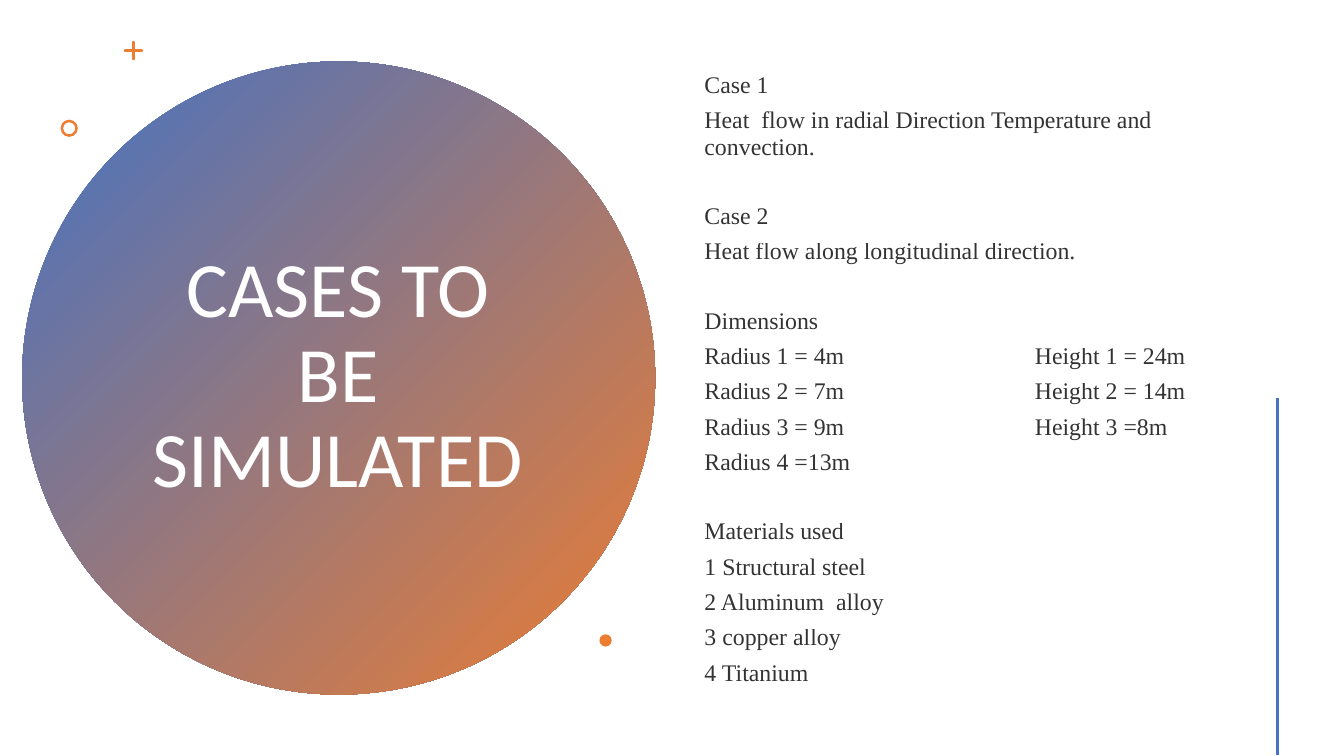
from dataclasses import dataclass
from math import cos, pi, sin

from lxml.etree import SubElement
from pptx import Presentation
from pptx.dml.color import RGBColor
from pptx.enum.shapes import MSO_CONNECTOR, MSO_SHAPE
from pptx.enum.text import MSO_ANCHOR, MSO_AUTO_SIZE, PP_ALIGN
from pptx.oxml.ns import qn
from pptx.util import Pt


@dataclass(frozen=True)
class Theme:
    blue: RGBColor = RGBColor(0x44, 0x72, 0xC4)
    orange: RGBColor = RGBColor(0xED, 0x7D, 0x31)
    white: RGBColor = RGBColor(0xFF, 0xFF, 0xFF)
    black: RGBColor = RGBColor(0, 0, 0)
    body_alpha: int = 80000
    title_font: str = "Calibri"
    body_font: str = "Times New Roman"
    title_size: int = 56
    body_size: int = 17


THEME = Theme()

# Each section is a heading followed by its lines; a tab starts the height column.
SECTIONS = [
    ["Case 1", "Heat  flow in radial Direction Temperature and convection."],
    ["Case 2", "Heat flow along longitudinal direction."],
    ["Dimensions", "Radius 1 = 4m\tHeight 1 = 24m", "Radius 2 = 7m\tHeight 2 = 14m",
     "Radius 3 = 9m\tHeight 3 =8m", "Radius 4 =13m"],
    ["Materials used", "1 Structural steel", "2 Aluminum  alloy",
     "3 copper alloy", "4 Titanium"],
]


def add_title_disc(slide, left, top, diameter):
    disc = slide.shapes.add_shape(
        MSO_SHAPE.OVAL, Pt(left), Pt(top), Pt(diameter), Pt(diameter))
    disc.shadow.inherit = False
    disc.line.fill.background()
    disc.fill.gradient()
    disc.fill.gradient_angle = 315
    for stop, color in zip(disc.fill.gradient_stops, (THEME.blue, THEME.orange)):
        stop.color.rgb = color
    slide.shapes._spTree.insert(2, disc._element)  # behind the title

    title = slide.shapes.title
    title.left, title.top = Pt(left + 82), Pt(top + 57.5)
    title.width, title.height = Pt(287.3), Pt(336.2)
    frame = title.text_frame
    frame.word_wrap = True
    frame.auto_size = MSO_AUTO_SIZE.NONE
    frame.vertical_anchor = MSO_ANCHOR.MIDDLE
    heading = frame.paragraphs[0]
    heading.alignment = PP_ALIGN.CENTER
    heading.line_spacing = 0.9
    run = heading.add_run()
    run.text = "CASES TO BE SIMULATED"
    run.font.name = THEME.title_font
    run.font.size = Pt(THEME.title_size)
    run.font.color.rgb = THEME.white


def paint_accent(accent):
    accent.shadow.inherit = False
    accent.fill.solid()
    accent.fill.fore_color.rgb = THEME.orange
    accent.line.fill.background()


def add_round_accent(slide, preset, left, top, diameter):
    accent = slide.shapes.add_shape(
        preset, Pt(left), Pt(top), Pt(diameter), Pt(diameter))
    paint_accent(accent)
    return accent


def add_plus(slide, left, top, size, half_width=1):
    """Draw a plus sign whose four arms have round ends."""
    center_x, center_y = left + size / 2, top + size / 2
    reach = size / 2 - half_width
    outline = []
    for arm in range(4):
        turn = arm * pi / 2
        cap = [(reach + half_width * cos(a), half_width * sin(a))
               for a in (step * pi / 8 for step in range(-4, 5))]
        for x, y in cap + [(half_width, half_width)]:
            outline.append((Pt(center_x + x * cos(turn) - y * sin(turn)),
                            Pt(center_y + x * sin(turn) + y * cos(turn))))
    builder = slide.shapes.build_freeform(*outline[0])
    builder.add_line_segments(outline[1:], close=True)
    paint_accent(builder.convert_to_shape())


def add_tab_stop(paragraph, position):
    tabs = SubElement(paragraph._p.get_or_add_pPr(), qn("a:tabLst"))
    SubElement(tabs, qn("a:tab"), pos=str(Pt(position)), algn="l")


def add_body_run(paragraph, line):
    run = paragraph.add_run()
    run.text = line
    run.font.name = THEME.body_font
    run.font.size = Pt(THEME.body_size)
    run.font.color.rgb = THEME.black
    black = run._r.rPr.find(".//" + qn("a:srgbClr"))
    SubElement(black, qn("a:alpha"), val=str(THEME.body_alpha))


def add_cases(slide, left, top, width, height):
    cases = slide.shapes.add_textbox(Pt(left), Pt(top), Pt(width), Pt(height))
    frame = cases.text_frame
    frame.word_wrap = True
    frame.vertical_anchor = MSO_ANCHOR.MIDDLE
    for section_index, section in enumerate(SECTIONS):
        for line_index, line in enumerate(section):
            is_first = section_index == line_index == 0
            paragraph = frame.paragraphs[0] if is_first else frame.add_paragraph()
            paragraph.line_spacing = 0.94
            paragraph.space_after = Pt(6)
            if line_index == 0 and section_index > 0:
                paragraph.space_before = Pt(24.4)
            if "\t" in line:
                add_tab_stop(paragraph, 236)
            add_body_run(paragraph, line)


def add_side_rule(slide, x, top, bottom):
    rule = slide.shapes.add_connector(
        MSO_CONNECTOR.STRAIGHT, Pt(x), Pt(top), Pt(x), Pt(bottom))
    rule.line.color.rgb = THEME.blue
    rule.line.width = Pt(2)
    SubElement(rule._element.spPr, qn("a:effectLst"))


def main():
    deck = Presentation()
    deck.slide_width, deck.slide_height = Pt(960), Pt(540)
    slide = deck.slides.add_slide(deck.slide_layouts[5])
    add_title_disc(slide, 15.8, 43.9, 452.2)
    add_plus(slide, 88.5, 29.3, 13.7)
    ring = add_round_accent(slide, MSO_SHAPE.DONUT, 43.3, 85.5, 12.3)
    ring.adjustments[0] = 0.15
    add_cases(slide, 496.1, 41, 375.8, 459.4)
    add_round_accent(slide, MSO_SHAPE.OVAL, 428.2, 453.1, 8.8)
    add_side_rule(slide, 912.4, 284.1, 539.6)
    deck.save("out.pptx")


if __name__ == "__main__":
    main()
